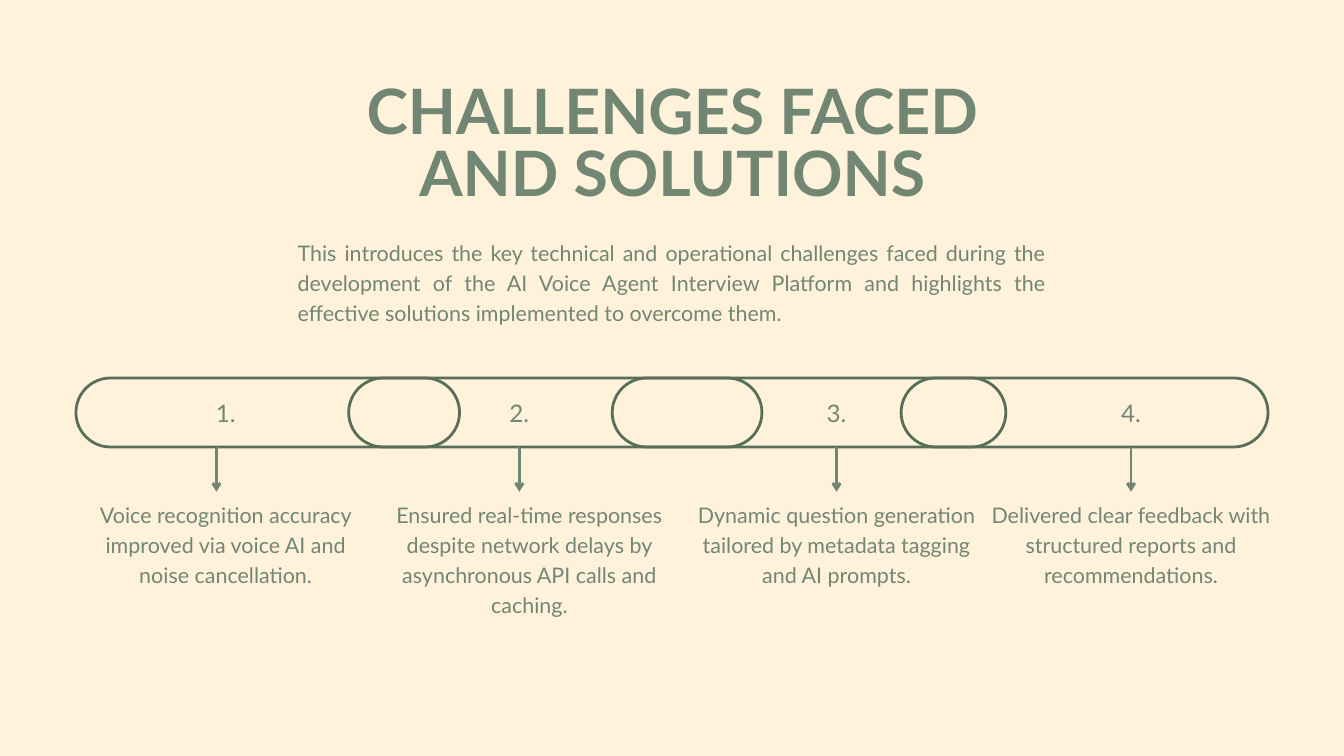
from dataclasses import dataclass

from lxml.etree import SubElement
from pptx import Presentation
from pptx.dml.color import RGBColor
from pptx.enum.shapes import MSO_CONNECTOR, MSO_SHAPE
from pptx.enum.text import MSO_ANCHOR, MSO_AUTO_SIZE, PP_ALIGN
from pptx.oxml.ns import qn
from pptx.util import Cm, Pt


@dataclass(frozen=True)
class Theme:
    font: str = "Lato"
    background: RGBColor = RGBColor(0xFF, 0xF2, 0xDB)
    text: RGBColor = RGBColor(0x72, 0x86, 0x74)
    outline: RGBColor = RGBColor(0x59, 0x6D, 0x5B)
    title_size: float = 67
    number_size: float = 25.9
    body_size: float = 23
    line_width: float = 3
    leading: float = 1.4


THEME = Theme()

TITLE = "CHALLENGES FACED AND SOLUTIONS"
INTRO = (
    "This introduces the key technical and operational challenges faced during "
    "the development of the AI Voice Agent Interview Platform and highlights the "
    "effective solutions implemented to overcome them."
)

# Capsule left, capsule width, axis of number and arrow, text left (cm), text
STEPS = [
    (2.87, 14.5, 8.18, 3.25,
     "Voice recognition accuracy improved via voice AI and noise cancellation."),
    (13.18, 15.62, 19.63, 14.73,
     "Ensured real-time responses despite network delays by asynchronous API "
     "calls and caching."),
    (23.14, 14.88, 31.62, 26.34,
     "Dynamic question generation tailored by metadata tagging and AI prompts."),
    (34.06, 13.87, 42.75, 37.47,
     "Delivered clear feedback with structured reports and recommendations."),
]
NUMBER_OFFSETS = [0.35, 0, 0, 0]  # the first number sits right of its arrow

CAPSULE_TOP, CAPSULE_HEIGHT = 14.29, 2.61
NUMBER_TOP, NUMBER_WIDTH, NUMBER_HEIGHT = 14.88, 8.9, 1.24
ARROW_TOP, ARROW_BOTTOM = 16.89, 18.59
TEXT_TOP, TEXT_WIDTH, TEXT_HEIGHT = 18.82, 10.57, 4.42


def place(shape, left, top, width, height):
    shape.left, shape.top = Cm(left), Cm(top)
    shape.width, shape.height = Cm(width), Cm(height)


def write(shape, text, size, leading=THEME.leading, align=PP_ALIGN.CENTER, bold=False):
    """Fill a shape with one paragraph, without margins, from the top."""
    tf = shape.text_frame
    tf.text = text
    tf.word_wrap = True
    tf.auto_size = MSO_AUTO_SIZE.NONE
    tf.vertical_anchor = MSO_ANCHOR.TOP
    tf.margin_left = tf.margin_top = tf.margin_right = tf.margin_bottom = 0
    p = tf.paragraphs[0]
    p.alignment = align
    p.line_spacing = Pt(size * leading)
    p.space_before = Pt(0)
    font = p.runs[0].font
    font.name, font.size, font.bold = THEME.font, Pt(size), bold
    font.color.rgb = THEME.text


def add_text(s, box, text, size, **style):
    write(s.shapes.add_textbox(*map(Cm, box)), text, size, **style)


def add_capsule(s, left, width):
    sp = s.shapes.add_shape(
        MSO_SHAPE.ROUNDED_RECTANGLE,
        Cm(left), Cm(CAPSULE_TOP), Cm(width), Cm(CAPSULE_HEIGHT),
    )
    sp.adjustments[0] = 0.5
    sp.shadow.inherit = False
    sp.fill.background()
    sp.line.color.rgb = THEME.outline
    sp.line.width = Pt(THEME.line_width)


def add_down_arrow(s, x):
    arrow = s.shapes.add_connector(
        MSO_CONNECTOR.STRAIGHT, Cm(x), Cm(ARROW_TOP), Cm(x), Cm(ARROW_BOTTOM)
    )
    arrow.line.color.rgb = THEME.text
    arrow.line.width = Pt(THEME.line_width)
    props = arrow._element.spPr
    SubElement(props.find(qn("a:ln")), qn("a:tailEnd"), type="arrow")
    SubElement(props, qn("a:effectLst"))


def add_step(s, number, step, number_offset):
    capsule_left, capsule_width, axis, text_left, text = step
    add_capsule(s, capsule_left, capsule_width)
    add_down_arrow(s, axis)
    number_left = axis + number_offset - NUMBER_WIDTH / 2
    add_text(s, (number_left, NUMBER_TOP, NUMBER_WIDTH, NUMBER_HEIGHT),
             f"{number}.", THEME.number_size)
    add_text(s, (text_left, TEXT_TOP, TEXT_WIDTH, TEXT_HEIGHT), text, THEME.body_size)


def main():
    prs = Presentation()
    prs.slide_width, prs.slide_height = Cm(50.8), Cm(28.58)
    s = prs.slides.add_slide(prs.slide_layouts[5])
    s.background.fill.solid()
    s.background.fill.fore_color.rgb = THEME.background

    place(s.shapes.title, 12.12, 3.18, 26.57, 4.8)
    write(s.shapes.title, TITLE, THEME.title_size, leading=1, bold=True)
    add_text(s, (11.25, 8.92, 28.3, 3.3), INTRO, THEME.body_size,
             align=PP_ALIGN.JUSTIFY)

    for number, (step, offset) in enumerate(zip(STEPS, NUMBER_OFFSETS), start=1):
        add_step(s, number, step, offset)

    prs.save("out.pptx")


if __name__ == "__main__":
    main()
